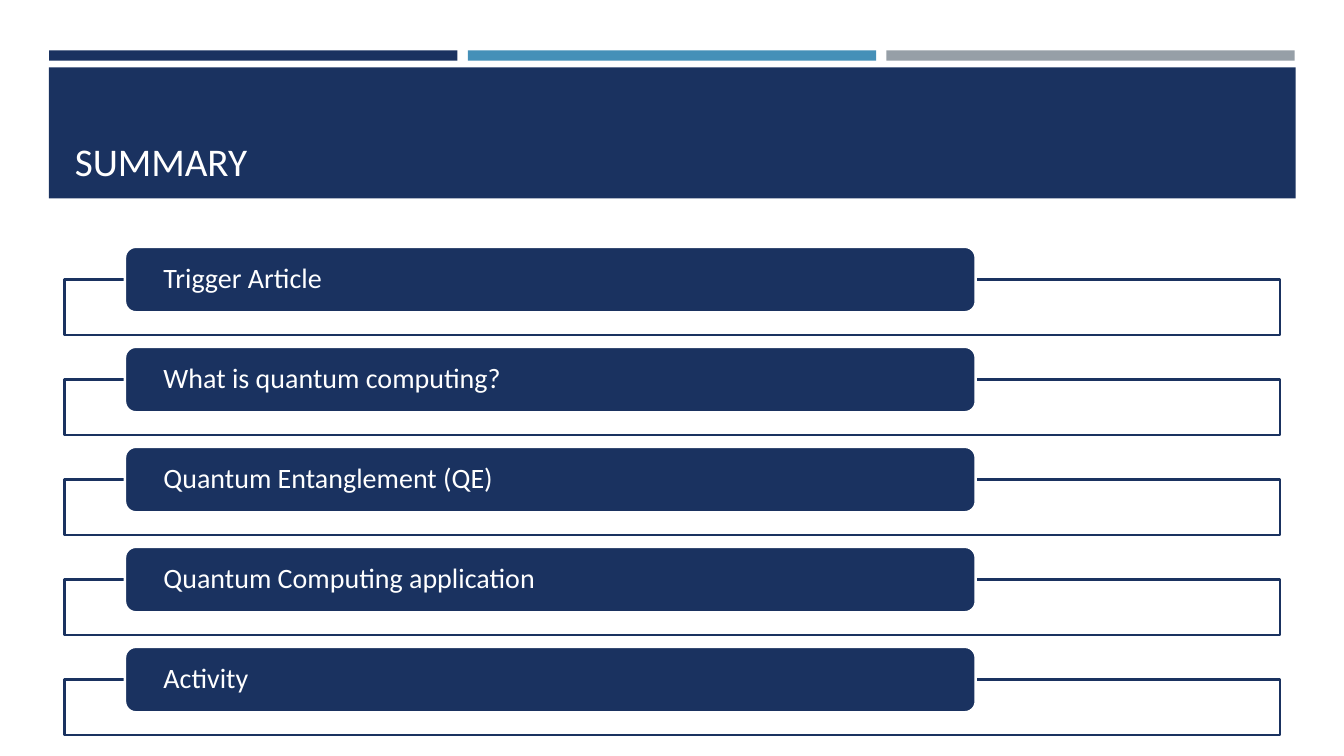
from dataclasses import dataclass

import lxml.etree
import pptx
import pptx.dml.color
import pptx.enum.shapes
import pptx.enum.text
import pptx.oxml.ns
import pptx.shapes.autoshape
import pptx.slide
import pptx.text.text
import pptx.util

COLORS = {"navy": "1A3260", "blue": "4590B8", "gray": "969FA7", "white": "FFFFFF"}
FONT = "Calibri"
RECT = pptx.enum.shapes.MSO_SHAPE.RECTANGLE
ROUNDED = pptx.enum.shapes.MSO_SHAPE.ROUNDED_RECTANGLE
BAR_PITCH = 10.55
TOPIC_PITCH = 2.52


@dataclass
class Box:
    """Position and size in centimetres."""
    left: float
    top: float
    width: float
    height: float

    def lengths(self) -> list[pptx.util.Cm]:
        return [pptx.util.Cm(v) for v in (self.left, self.top, self.width, self.height)]


@dataclass
class Topic:
    text: str
    row: int

    def frame(self) -> Box:
        return Box(1.63, 7.04 + self.row * TOPIC_PITCH, 30.63, 1.4)

    def label(self) -> Box:
        return Box(3.15, 6.22 + self.row * TOPIC_PITCH, 21.44, 1.65)


def rgb(name: str) -> pptx.dml.color.RGBColor:
    return pptx.dml.color.RGBColor.from_string(COLORS[name])


def add_box(s: pptx.slide.Slide, box: Box, fill: str, line: str | None = None,
            kind: pptx.enum.shapes.MSO_SHAPE = RECT) -> pptx.shapes.autoshape.Shape:
    sp = s.shapes.add_shape(kind, *box.lengths())
    sp.shadow.inherit = False
    sp.fill.solid()
    sp.fill.fore_color.rgb = rgb(fill)
    if line is None:
        sp.line.fill.background()
    else:
        sp.line.color.rgb = rgb(line)
        sp.line.width = pptx.util.Pt(1.75)
    return sp


def set_alpha(sp: pptx.shapes.autoshape.Shape, percent: int) -> None:
    color = sp.element.spPr.find("./" + pptx.oxml.ns.qn("a:solidFill"))[0]
    alpha = lxml.etree.SubElement(color, pptx.oxml.ns.qn("a:alpha"))
    alpha.set("val", str(percent * 1000))


def write(tf: pptx.text.text.TextFrame, text: str, size: int) -> pptx.text.text._Paragraph:
    tf.word_wrap = True
    tf.auto_size = pptx.enum.text.MSO_AUTO_SIZE.NONE
    p = tf.paragraphs[0]
    p.alignment = pptx.enum.text.PP_ALIGN.LEFT
    r = p.add_run()
    r.text = text
    r.font.name = FONT
    r.font.size = pptx.util.Pt(size)
    r.font.color.rgb = rgb("white")
    return p


def add_title(s: pptx.slide.Slide, text: str) -> None:
    add_box(s, Box(1.23, 1.7, 31.42, 3.3), "navy")
    sp = s.shapes.title
    sp.left, sp.top, sp.width, sp.height = Box(1.63, 1.96, 30.63, 2.82).lengths()
    sp.text_frame.vertical_anchor = pptx.enum.text.MSO_ANCHOR.BOTTOM
    write(sp.text_frame, text, 28)
    # Bring the title in front of its band
    sp.element.getparent().append(sp.element)


def add_topic(s: pptx.slide.Slide, topic: Topic) -> None:
    set_alpha(add_box(s, topic.frame(), "white", "navy"), 90)
    sp = add_box(s, topic.label(), "navy", "white", ROUNDED)
    tf = sp.text_frame
    tf.margin_left = tf.margin_right = pptx.util.Cm(0.89)
    tf.margin_top = tf.margin_bottom = 0
    tf.vertical_anchor = pptx.enum.text.MSO_ANCHOR.MIDDLE
    write(tf, topic.text, 20).line_spacing = 0.9


def main() -> None:
    prs = pptx.Presentation()
    prs.slide_width = pptx.util.Cm(33.87)
    prs.slide_height = pptx.util.Cm(19.05)
    s = prs.slides.add_slide(prs.slide_layouts.get_by_name("Title Only"))

    # Accent bars along the top
    for i, color in enumerate(("navy", "blue", "gray")):
        add_box(s, Box(1.24 + i * BAR_PITCH, 1.27, 10.29, 0.26), color)

    # Title band
    add_title(s, "SUMMARY")

    # Topic list
    topics = ("Trigger Article", "What is quantum computing?",
              "Quantum Entanglement (QE)", "Quantum Computing application", "Activity")
    for row, text in enumerate(topics):
        add_topic(s, Topic(text, row))

    prs.save("out.pptx")


if __name__ == "__main__":
    main()
